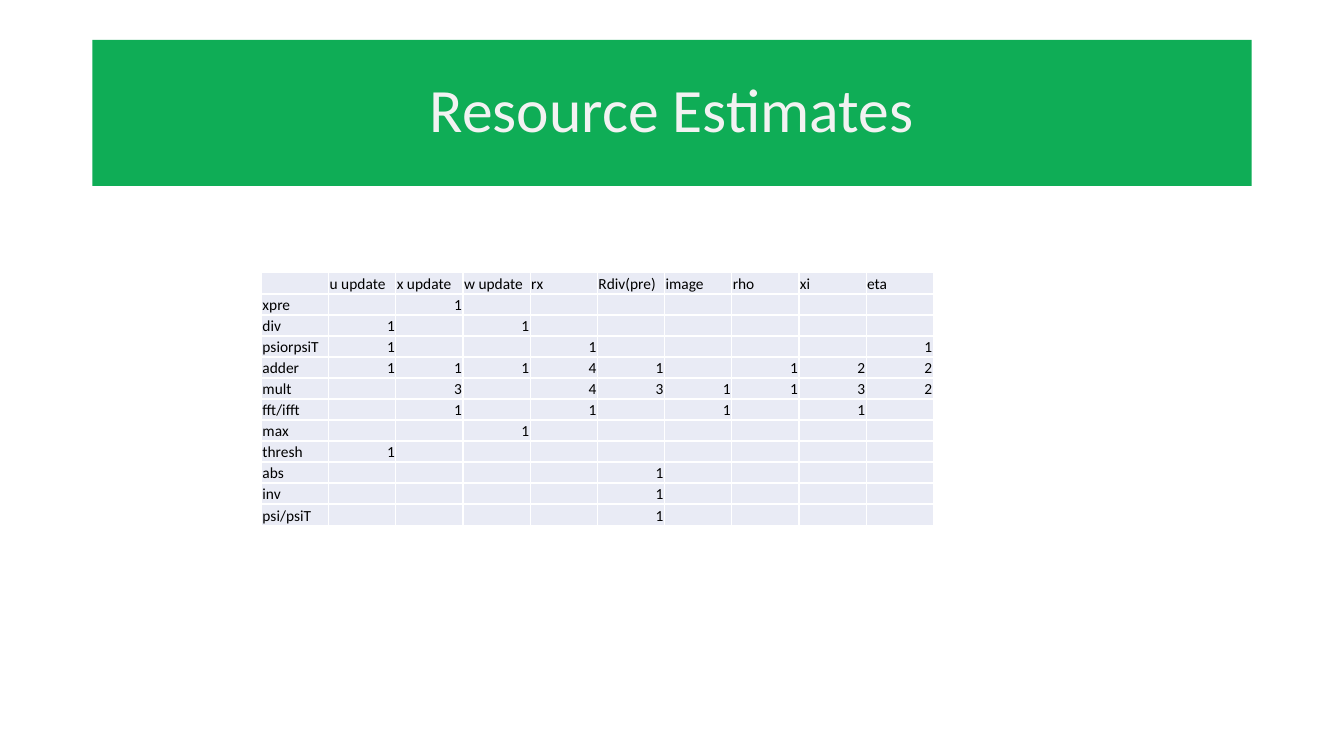
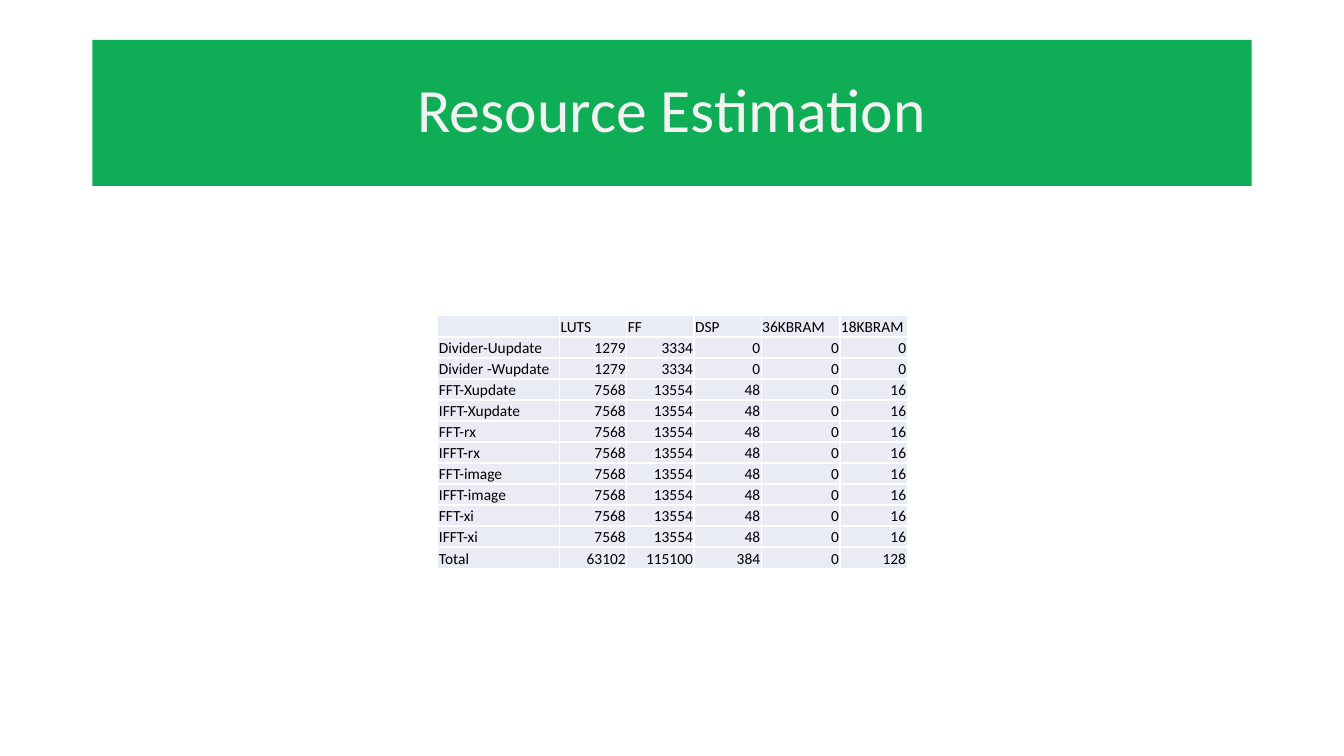
"""Build two slides that show resource tables under a green title band."""
from dataclasses import dataclass

from lxml.etree import SubElement
from pptx import Presentation as Deck
from pptx.dml.color import RGBColor as Rgb
from pptx.enum.text import MSO_ANCHOR as Anchor, PP_ALIGN as Align
from pptx.oxml.ns import qn
from pptx.util import Emu, Pt


@dataclass(frozen=True)
class Theme:
    font: str = "Calibri"
    band: str = "0FAD56"
    title: str = "F2F2F2"
    cell: str = "E9EBF5"
    rule: str = "FFFFFF"
    ink: str = "000000"
    big: int = 44
    small: int = 11


@dataclass(frozen=True)
class Page:
    title: str
    left: int
    top: int
    cols: list[int]
    rows: list[list[str]]


LOOK = Theme()
SIZE = (1280, 720)
BAND = (88, 38, 1104, 139)
ROW, EDGE = 20, 21

USES = """,u update,x update,w update,rx,Rdiv(pre),image,rho,xi,eta
xpre,,1,,,,,,,
div,1,,1,,,,,,
psiorpsiT,1,,,1,,,,,1
adder,1,1,1,4,1,,1,2,2
mult,,3,,4,3,1,1,3,2
fft/ifft,,1,,1,,1,,1,
max,,,1,,,,,,
thresh,1,,,,,,,,
abs,,,,,1,,,,
inv,,,,,1,,,,
psi/psiT,,,,,1,,,,"""


def px(num: int) -> Emu:
    return Emu(num * 9525)


def cost() -> list[list[str]]:
    parts = {name: (1279, 3334, 0, 0, 0)
             for name in ("Divider-Uupdate", "Divider -Wupdate")}
    for step in ("Xupdate", "rx", "image", "xi"):
        for kind in ("FFT", "IFFT"):
            parts[f"{kind}-{step}"] = (7568, 13554, 48, 0, 16)
    parts["Total"] = tuple(map(sum, zip(*parts.values())))
    head = ["", "LUTS", "FF", "DSP", "36KBRAM", "18KBRAM"]
    return [head] + [[name, *map(str, nums)] for name, nums in parts.items()]


def write(frame, text: str, *, size: int, color: str,
          align: Align = Align.LEFT, space: float = 1.0) -> None:
    para = frame.paragraphs[0]
    para.alignment = align
    para.line_spacing = space
    if not text:
        SubElement(para._p, qn("a:endParaRPr"), sz=str(size * 100))
        return
    run = para.add_run()
    run.text = text
    run.font.name = LOOK.font
    run.font.size = Pt(size)
    run.font.color.rgb = Rgb.from_string(color)


def paint(fill, color: str) -> None:
    fill.solid()
    fill.fore_color.rgb = Rgb.from_string(color)


def frame_cell(cell) -> None:
    props = cell._tc.get_or_add_tcPr()
    for side in "LRTB":
        line = SubElement(props, qn(f"a:ln{side}"), w=str(Pt(1)))
        SubElement(SubElement(line, qn("a:solidFill")), qn("a:srgbClr"),
                   val=LOOK.rule)


def draw_cell(cell, text: str) -> None:
    frame_cell(cell)
    paint(cell.fill, LOOK.cell)
    cell.margin_left = cell.margin_right = cell.margin_top = px(1)
    cell.margin_bottom = 0
    cell.vertical_anchor = Anchor.BOTTOM
    write(cell.text_frame, text, size=LOOK.small, color=LOOK.ink,
          align=Align.RIGHT if text.isdigit() else Align.LEFT)


def draw_title(slide, text: str) -> None:
    title = slide.shapes.title
    title.left, title.top, title.width, title.height = map(px, BAND)
    paint(title.fill, LOOK.band)
    title.text_frame.vertical_anchor = Anchor.MIDDLE
    write(title.text_frame, text, size=LOOK.big, color=LOOK.title,
          align=Align.CENTER, space=0.9)


def draw_table(slide, page: Page) -> None:
    count = len(page.rows)
    highs = [EDGE] + [ROW] * (count - 2) + [EDGE]
    box = map(px, (page.left, page.top, sum(page.cols), sum(highs)))
    table = slide.shapes.add_table(count, len(page.cols), *box).table
    table.first_row = table.horz_banding = False
    for col, wide in zip(table.columns, page.cols):
        col.width = px(wide)
    for row, high, texts in zip(table.rows, highs, page.rows):
        row.height = px(high)
        for cell, text in zip(row.cells, texts):
            draw_cell(cell, text)


def main() -> None:
    uses = [line.split(",") for line in USES.splitlines()]
    pages = (
        Page("Resource Estimates", 249, 259, [64] * 10, uses),
        Page("Resource Estimation", 417, 300,
             [116, 64, 64, 64, 75, 64], cost()),
    )
    deck = Deck()
    deck.slide_width, deck.slide_height = map(px, SIZE)
    for page in pages:
        slide = deck.slides.add_slide(deck.slide_layouts[5])
        draw_title(slide, page.title)
        draw_table(slide, page)
    deck.save("out.pptx")


if __name__ == "__main__":
    main()
